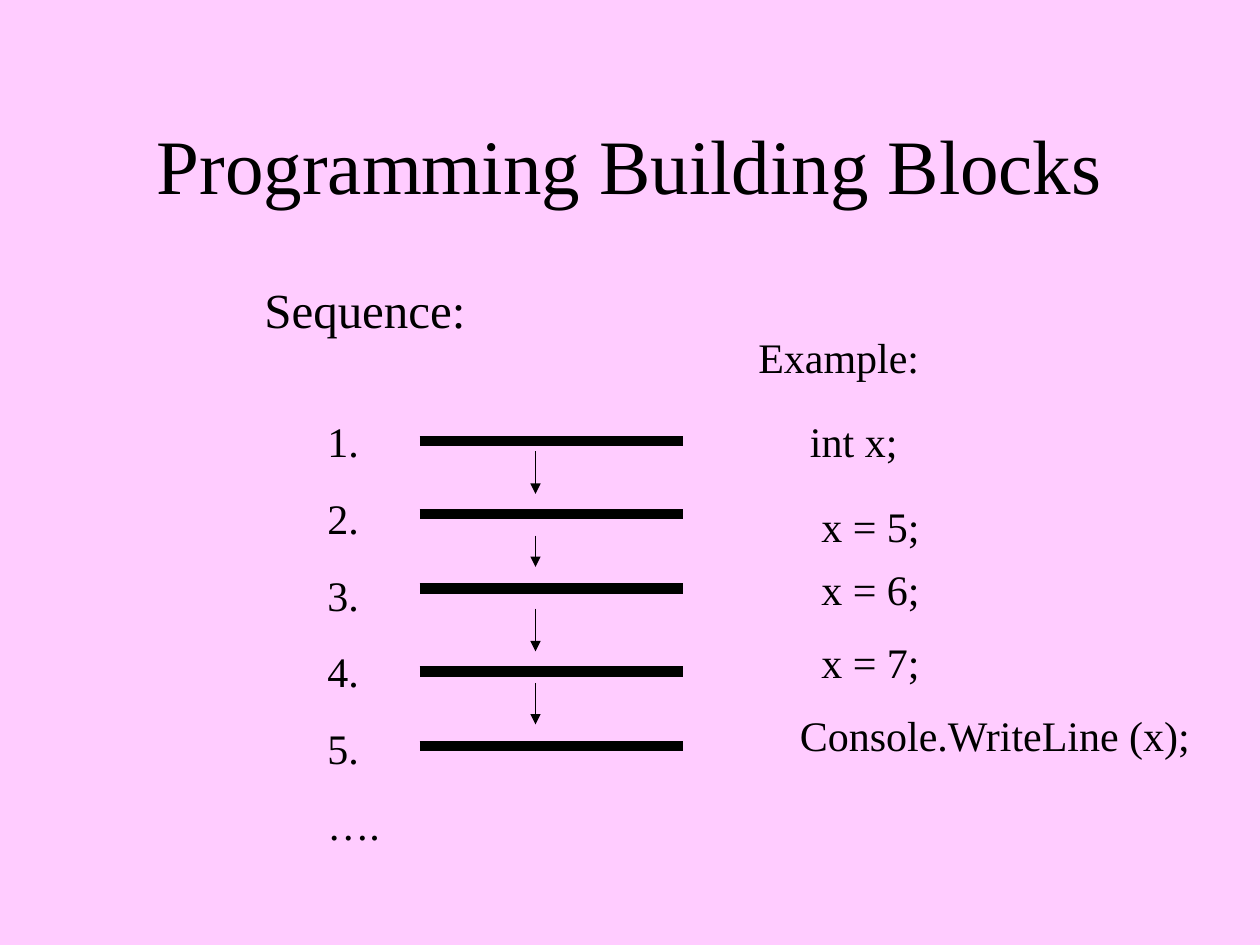
from lxml.etree import SubElement
from pptx import Presentation
from pptx.dml.color import RGBColor
from pptx.enum.shapes import MSO_CONNECTOR
from pptx.enum.text import MSO_ANCHOR, MSO_AUTO_SIZE, PP_ALIGN
from pptx.oxml.ns import qn
from pptx.util import Inches, Pt

FONT, INK, BACKGROUND = "Times New Roman", "000000", "FFCCFF"

# Content: text, left, top, width, height
TITLE = "Programming Building Blocks"
SEQUENCE = ("Sequence:", 2, 2.17, 3.92, 0.57)
STEPS = ["1.", "2.", "3.", "4.", "5.", "…."]
EXAMPLE = [
    ("Example:", 5.92, 2.58, 1.9, 0.5),
    ("int x;", 6.33, 3.25, 2.99, 0.5),
    ("x = 5;", 6.42, 3.92, 1.9, 0.5),
    ("x = 6;", 6.42, 4.42, 1.9, 0.5),
    ("x = 7;", 6.42, 5, 1.9, 0.5),
    ("Console.WriteLine (x);", 6.25, 5.58, 3.5, 0.5),
]
BAR_LEFT, BAR_RIGHT = 3.33, 5.42
BAR_TOPS = [3.5, 4.08, 4.67, 5.33, 5.92]
ARROW_X = 4.25
ARROWS = [(3.58, 3.92), (4.25, 4.5), (4.83, 5.17), (5.42, 5.75)]


def color(value):
    return RGBColor.from_string(value)


def add_text(s, lines, left, top, width, height, size=24, gap=0, align=PP_ALIGN.LEFT):
    sp = s.shapes.add_textbox(Inches(left), Inches(top), Inches(width), Inches(height))
    tf = sp.text_frame
    tf.word_wrap = True
    for i, line in enumerate(lines):
        p = tf.add_paragraph() if i else tf.paragraphs[0]
        p.alignment = align
        if i:
            p.space_before = Pt(gap)
        r = p.add_run()
        r.text = line
        r.font.name = FONT
        r.font.size = Pt(size)
        r.font.color.rgb = color(INK)
    return tf


def add_line(s, x1, y1, x2, y2, weight, arrow=False):
    line = s.shapes.add_connector(
        MSO_CONNECTOR.STRAIGHT, Inches(x1), Inches(y1), Inches(x2), Inches(y2))
    line.line.color.rgb = color(INK)
    line.line.width = Pt(weight)
    if arrow:
        SubElement(line.line._get_or_add_ln(), qn("a:tailEnd"), type="triangle")
    SubElement(line._element.spPr, qn("a:effectLst"))


prs = Presentation()
prs.slide_width, prs.slide_height = Inches(10), Inches(7.5)
s = prs.slides.add_slide(prs.slide_layouts[6])
s.background.fill.solid()
s.background.fill.fore_color.rgb = color(BACKGROUND)

# Title
tf = add_text(s, [TITLE], 0.75, 0.67, 8.5, 1.25, size=44, align=PP_ALIGN.CENTER)
tf.vertical_anchor = MSO_ANCHOR.MIDDLE

# Statement bars
for y in BAR_TOPS:
    add_line(s, BAR_LEFT, y, BAR_RIGHT, y, 6)

# Step numbers and heading
tf = add_text(s, STEPS, 2.5, 3.25, 0.92, 3.54, gap=15)
tf.auto_size = MSO_AUTO_SIZE.SHAPE_TO_FIT_TEXT
heading, *place = SEQUENCE
add_text(s, [heading], *place, size=28)

# Arrows from each statement to the next
for start, end in ARROWS:
    add_line(s, ARROW_X, start, ARROW_X, end, 0.75, arrow=True)

# Example code
for text, *place in EXAMPLE:
    add_text(s, [text], *place)

prs.save("out.pptx")
